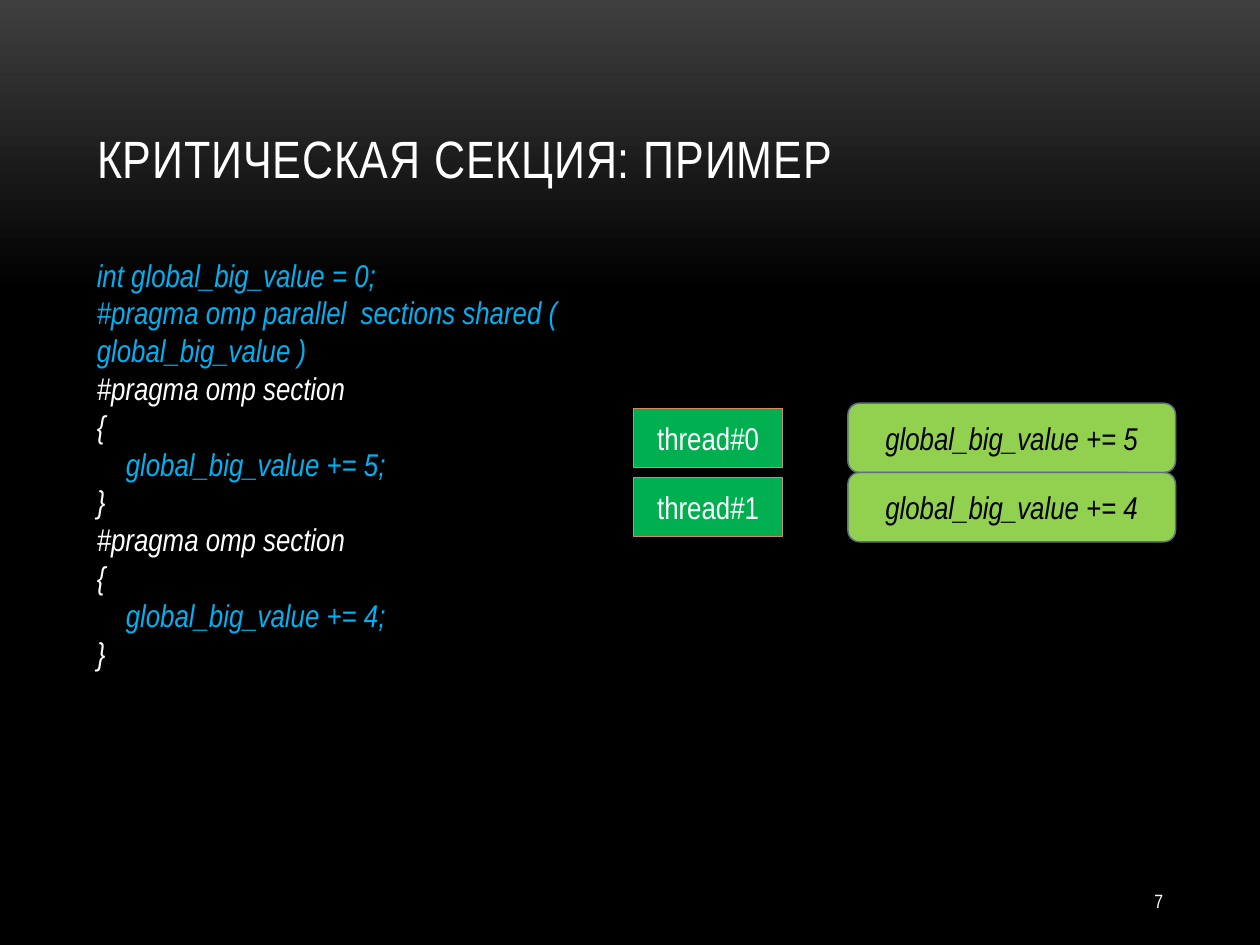
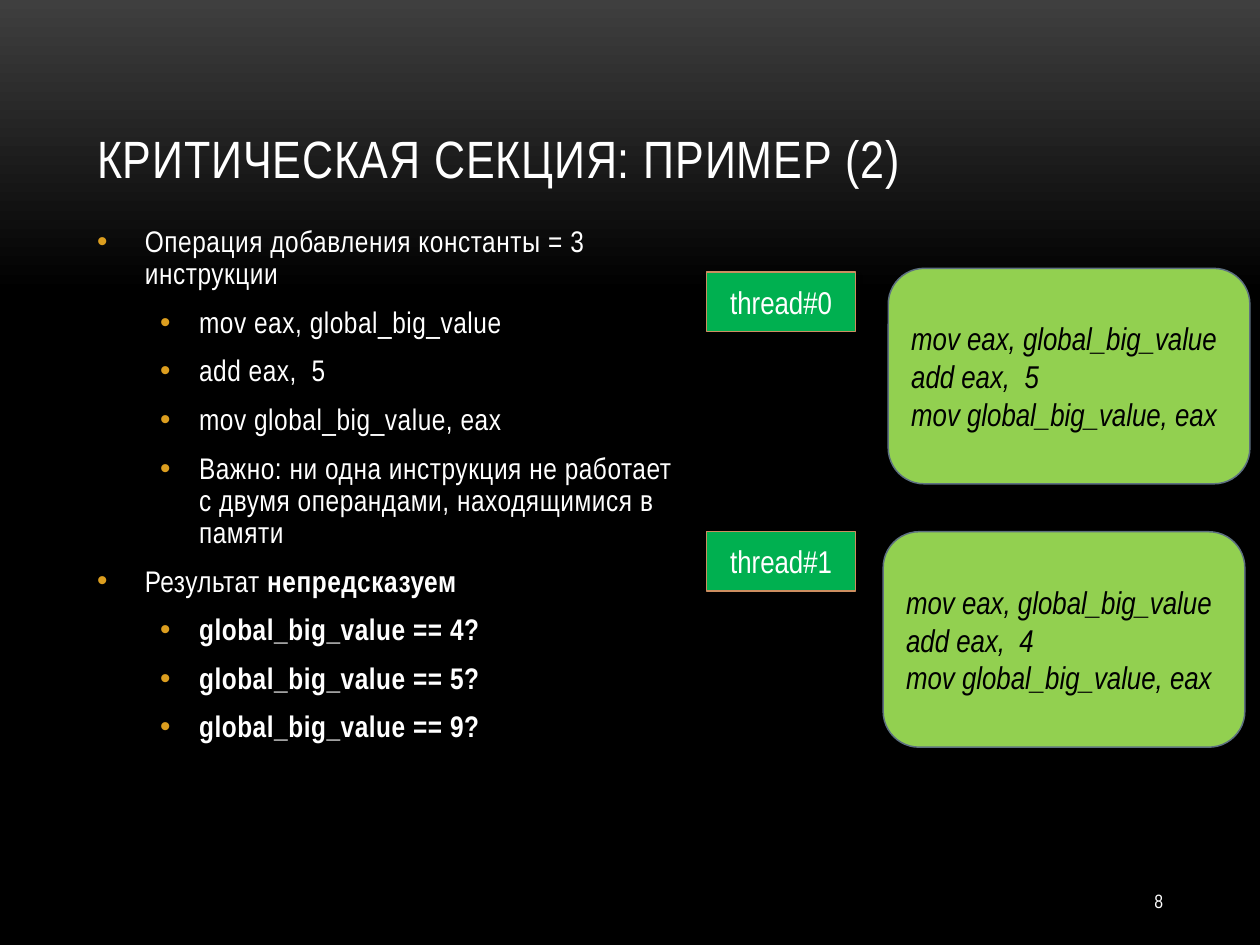
"""Builds two slides on a critical section example in OpenMP."""
import copy

import lxml.etree
import pptx
import pptx.dml.color
import pptx.enum.shapes
import pptx.enum.text
import pptx.oxml.ns
import pptx.util

Inches = pptx.util.Inches
Pt = pptx.util.Pt
qn = pptx.oxml.ns.qn
ALIGN = pptx.enum.text.PP_ALIGN
ANCHOR = pptx.enum.text.MSO_ANCHOR
SHAPE = pptx.enum.shapes.MSO_SHAPE


def color(value):
    return pptx.dml.color.RGBColor.from_string(value)


def add_element(parent, tag, **attributes):
    return lxml.etree.SubElement(parent, qn(tag), attributes)


class Deck:
    """Holds the shared style and the current slide."""

    FONT = "Arial Narrow"
    WHITE, BLACK = "FFFFFF", "000000"
    GLOW, CODE, BULLET = "3F3F3F", "00B0F0", "DC9E1F"
    THREAD_FILL, THREAD_LINE = "00B050", "CC8E60"
    STEP_FILL, STEP_LINE = "92D050", "5D7080"
    THREAD_SIZE = (1.18, 0.47)
    LEFT = 0.67
    INDENTS = ((0.38, -0.38), (0.81, -0.31))
    FIRST_NUMBER = 7

    def __init__(self):
        self.presentation = pptx.Presentation()
        self.presentation.slide_width = Inches(10)
        self.presentation.slide_height = Inches(7.5)
        self.presentation.element.set("firstSlideNum", str(self.FIRST_NUMBER))
        self.slide = None
        self.paint_background()

    def paint_background(self):
        fill = self.presentation.slide_master.background.fill
        fill.gradient()
        fill.gradient_angle = 270
        last = self.presentation.slide_master.element.findall(".//" + qn("a:gs"))[-1]
        last.addnext(copy.deepcopy(last))
        stops = ((0, self.GLOW), (0.31, self.BLACK), (1, self.BLACK))
        for stop, (position, value) in zip(fill.gradient_stops, stops):
            stop.position = position
            stop.color.rgb = color(value)

    def format(self, paragraph, size, value=WHITE, italic=False, align=ALIGN.LEFT, spacing=0):
        paragraph.alignment = align
        font = paragraph.font
        font.name = self.FONT
        font.size = Pt(size)
        font.italic = italic
        font.color.rgb = color(value)
        properties = paragraph._p.get_or_add_pPr()
        if spacing:
            properties.find(qn("a:defRPr")).set("spc", str(spacing))
        return properties

    def place(self, shape, left, top, width, height):
        shape.left, shape.top = Inches(left), Inches(top)
        shape.width, shape.height = Inches(width), Inches(height)

    def paragraphs(self, frame, lines):
        for index, line in enumerate(lines):
            paragraph = frame.paragraphs[0] if index == 0 else frame.add_paragraph()
            yield paragraph, line

    def add_slide(self, title, layout):
        layouts = self.presentation.slide_layouts
        self.slide = self.presentation.slides.add_slide(layouts.get_by_name(layout))
        shape = self.slide.shapes.title
        self.place(shape, self.LEFT, 0.3, 8.67, 1.25)
        frame = shape.text_frame
        frame.text = title
        frame.vertical_anchor = ANCHOR.BOTTOM
        frame.auto_size = pptx.enum.text.MSO_AUTO_SIZE.NONE
        self.format(frame.paragraphs[0], 30, spacing=50)
        self.add_number()

    def add_text(self, left, top, width, height):
        box = self.slide.shapes.add_textbox(
            Inches(left), Inches(top), Inches(width), Inches(height))
        box.text_frame.word_wrap = True
        return box.text_frame

    def add_number(self):
        frame = self.add_text(8.25, 6.95, 1.08, 0.4)
        frame.vertical_anchor = ANCHOR.MIDDLE
        paragraph = frame.paragraphs[0]
        self.format(paragraph, 11, align=ALIGN.RIGHT)
        field = add_element(paragraph._p, "a:fld", type="slidenum",
                            id="{B6F15528-21DE-4FAA-801E-634DDDAF4B2B}")
        add_element(field, "a:rPr", lang="ru-RU")
        number = self.FIRST_NUMBER + len(self.presentation.slides) - 1
        add_element(field, "a:t").text = str(number)

    def add_code(self, lines):
        frame = self.add_text(self.LEFT, 1.98, 3.86, 3.43)
        for paragraph, (text, value, indent) in self.paragraphs(frame, lines):
            paragraph.text = text
            properties = self.format(paragraph, 18, value, italic=True)
            properties.set("marL", str(Inches(indent)))

    def add_list(self, items):
        shape = self.slide.placeholders[1]
        self.place(shape, self.LEFT, 1.75, 4.88, 4.5)
        frame = shape.text_frame
        frame.auto_size = pptx.enum.text.MSO_AUTO_SIZE.NONE
        for paragraph, (level, plain, bold) in self.paragraphs(frame, items):
            if plain:
                paragraph.add_run().text = plain
            if bold:
                run = paragraph.add_run()
                run.text = bold
                run.font.bold = True
            paragraph.level = level
            paragraph.line_spacing = 0.9
            paragraph.space_after = Pt(6)
            properties = self.format(paragraph, 17, spacing=30)
            margin, indent = self.INDENTS[level]
            properties.set("marL", str(Inches(margin)))
            properties.set("indent", str(Inches(indent)))
            bullet_color = add_element(properties, "a:buClr")
            add_element(bullet_color, "a:srgbClr", val=self.BULLET)
            bullet = add_element(properties, "a:buChar", char="•")
            font = properties.find(qn("a:defRPr"))
            font.addprevious(bullet_color)
            font.addprevious(bullet)

    def add_box(self, kind, bounds, lines, fill, line, line_width, value, italic, align):
        shape = self.slide.shapes.add_shape(kind, *map(Inches, bounds))
        shape.shadow.inherit = False
        shape.fill.solid()
        shape.fill.fore_color.rgb = color(fill)
        shape.line.color.rgb = color(line)
        shape.line.width = Pt(line_width)
        shape.text_frame.vertical_anchor = ANCHOR.MIDDLE
        for paragraph, text in self.paragraphs(shape.text_frame, lines):
            paragraph.text = text
            self.format(paragraph, 18, value, italic, align)
        return shape

    def add_steps(self, bounds, lines, align):
        self.add_box(SHAPE.ROUNDED_RECTANGLE, bounds, lines, self.STEP_FILL,
                     self.STEP_LINE, 0.85, self.BLACK, True, align)

    def add_thread(self, left, top, number):
        shape = self.add_box(SHAPE.RECTANGLE, (left, top, *self.THREAD_SIZE),
                             [f"thread#{number}"], self.THREAD_FILL, self.THREAD_LINE,
                             0.75, self.WHITE, False, ALIGN.CENTER)
        effects = shape.element.spPr.find(qn("a:effectLst"))
        shadow = add_element(effects, "a:outerShdw", blurRad=str(Pt(4)),
                             dist=str(Pt(3.4)), dir="5400000", rotWithShape="0")
        shade = add_element(shadow, "a:srgbClr", val=self.BLACK)
        add_element(shade, "a:alpha", val="40000")


def build_example(deck, constants):
    deck.add_slide("КРИТИЧЕСКАЯ СЕКЦИЯ: ПРИМЕР", "Title Only")
    code = [("int global_big_value = 0;", deck.CODE, 0),
            ("#pragma omp parallel  sections shared ( global_big_value )", deck.CODE, 0)]
    for constant in constants:
        code += [("#pragma omp section", deck.WHITE, 0),
                 ("{", deck.WHITE, 0),
                 (f"global_big_value += {constant};", deck.CODE, 0.23),
                 ("}", deck.WHITE, 0)]
    deck.add_code(code)
    row_height = 0.55
    for number, constant in enumerate(constants):
        top = 3.2 + number * row_height
        deck.add_steps((6.73, top, 2.6, row_height),
                       [f"global_big_value += {constant}"], ALIGN.CENTER)
        deck.add_thread(5.03, top + 0.04, number)


def build_instructions(deck, constants):
    def instructions(constant):
        return ["mov eax, global_big_value", f"add eax,  {constant}",
                "mov global_big_value, eax"]

    deck.add_slide("КРИТИЧЕСКАЯ СЕКЦИЯ: ПРИМЕР (2)", "Title and Content")
    deck.add_list([
        (0, "Операция добавления константы = 3 инструкции", ""),
        *((1, text, "") for text in instructions(constants[0])),
        (1, "Важно: ни одна инструкция не работает с двумя операндами, "
            "находящимися в памяти", ""),
        (0, "Результат ", "непредсказуем"),
        *((1, "", f"global_big_value == {result}?") for result in (4, 5, 9)),
    ])
    positions = ((7.05, 2.13, 2.16), (7.01, 4.22, 4.22))
    for number, (left, top, thread_top) in enumerate(positions):
        deck.add_steps((left, top, 2.87, 1.71), instructions(constants[number]), ALIGN.LEFT)
        deck.add_thread(5.61, thread_top, number)


def main():
    deck = Deck()
    constants = (5, 4)
    build_example(deck, constants)
    build_instructions(deck, constants)
    deck.presentation.save("out.pptx")


if __name__ == "__main__":
    main()
